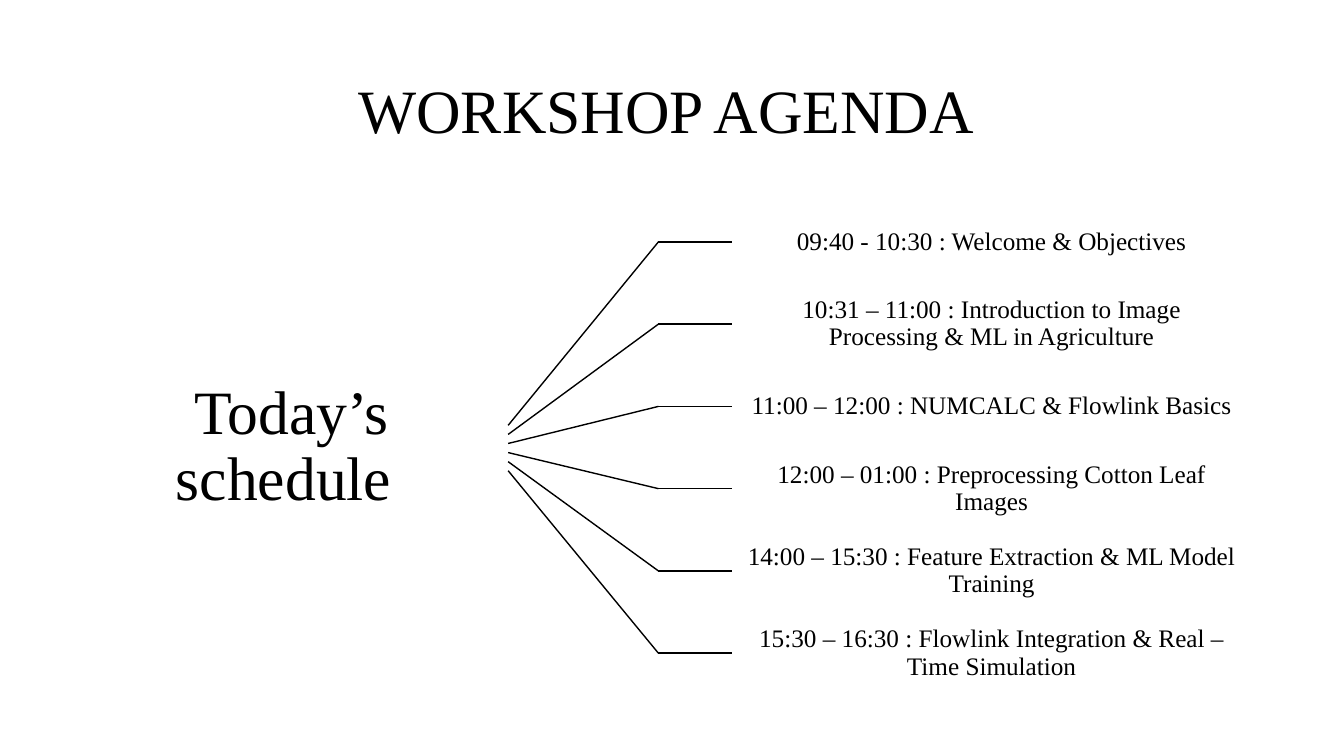
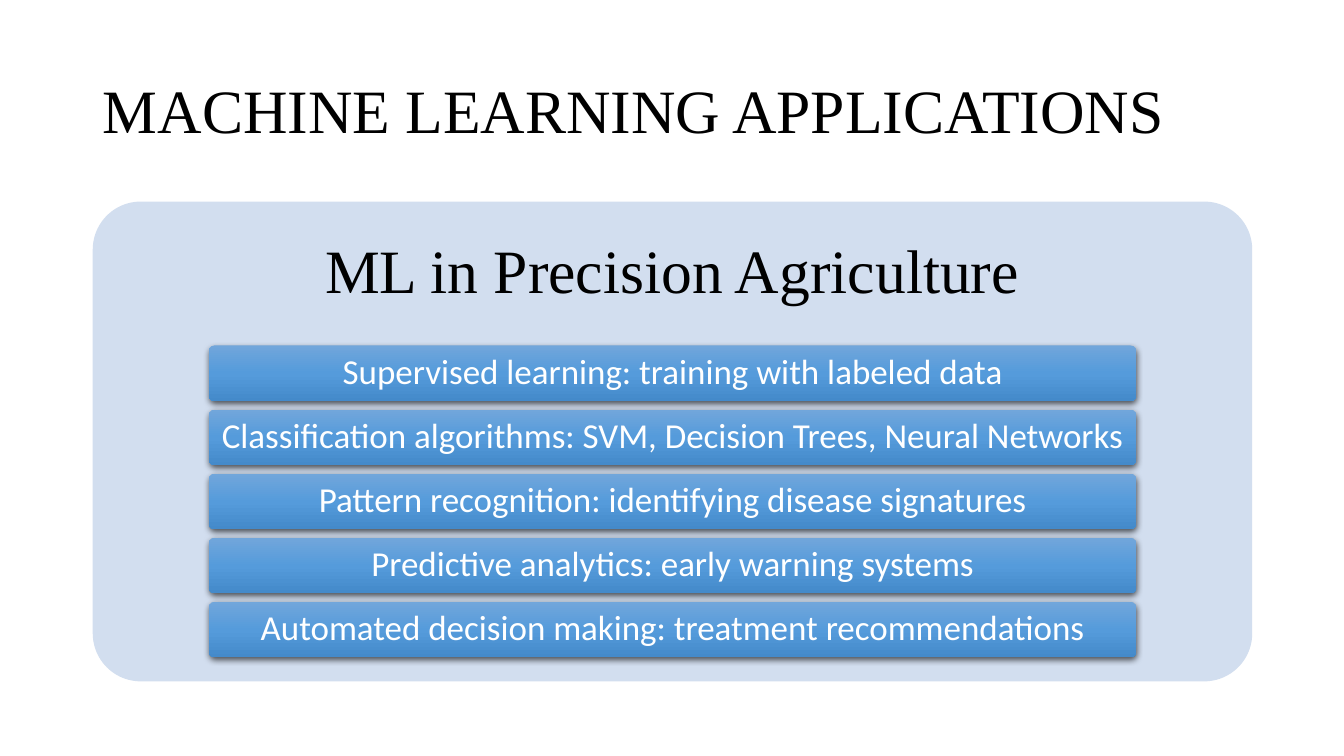
from dataclasses import dataclass

from lxml import etree
from pptx import Presentation
from pptx import util as u
from pptx.dml.color import RGBColor
from pptx.enum import shapes, text
from pptx.oxml import parse_xml
from pptx.oxml.ns import nsdecls, qn

BLACK = RGBColor(0x00, 0x00, 0x00)
WHITE = RGBColor(0xFF, 0xFF, 0xFF)
PANEL = RGBColor(0xD2, 0xDE, 0xEF)
BAR_TOP = RGBColor(0x71, 0xA6, 0xDB)
BAR_MID = RGBColor(0x55, 0x9B, 0xDB)
BAR_END = RGBColor(0x44, 0x8A, 0xCA)
BAR_STOPS = ((0, BAR_TOP), (50, BAR_MID), (100, BAR_END))

WIDTH, HEIGHT = 13.33, 7.5
TITLE_ONLY = 5


@dataclass(frozen=True)
class Box:
    left: float
    top: float
    width: float
    height: float

    def emu(self) -> tuple:
        return tuple(u.Inches(v) for v in (self.left, self.top, self.width, self.height))


@dataclass(frozen=True)
class Style:
    size: float
    font: str = "Times New Roman"
    color: RGBColor = BLACK
    align: text.PP_ALIGN = text.PP_ALIGN.CENTER
    inset_x: float = 0.0
    inset_y: float = 0.0


TITLE_BOX = Box(0.92, 0.4, 11.5, 1.45)
CENTRED_TITLE = Style(44, inset_x=0.1, inset_y=0.05)
LEFT_TITLE = Style(44, align=text.PP_ALIGN.LEFT, inset_x=0.1, inset_y=0.05)
HUB = Style(44)
SESSION = Style(18, inset_x=0.14, inset_y=0.14)
HEADING = Style(44, inset_x=0.18, inset_y=0.18)
BAR = Style(25, "Calibri", WHITE, inset_x=0.07, inset_y=0.05)

SESSIONS = (
    "09:40 - 10:30 : Welcome & Objectives",
    "10:31 – 11:00 : Introduction to Image Processing & ML in Agriculture",
    "11:00 – 12:00 : NUMCALC & Flowlink Basics",
    "12:00 – 01:00 : Preprocessing Cotton Leaf Images",
    "14:00 – 15:30 : Feature Extraction & ML Model Training",
    "15:30 – 16:30 : Flowlink Integration & Real – Time Simulation",
)
APPLICATIONS = (
    "Supervised learning: training with labeled data",
    "Classification algorithms: SVM, Decision Trees, Neural Networks",
    "Pattern recognition: identifying disease signatures",
    "Predictive analytics: early warning systems",
    "Automated decision making: treatment recommendations",
)


def write(sp, words: str, style: Style) -> None:
    tf = sp.text_frame
    tf.word_wrap = True
    tf.auto_size = text.MSO_AUTO_SIZE.NONE
    tf.vertical_anchor = text.MSO_ANCHOR.MIDDLE
    tf.margin_left = tf.margin_right = u.Inches(style.inset_x)
    tf.margin_top = tf.margin_bottom = u.Inches(style.inset_y)
    tf.text = words
    p = tf.paragraphs[0]
    p.alignment = style.align
    p.line_spacing = 0.9
    p.font.size = u.Pt(style.size)
    p.font.name = style.font
    p.font.color.rgb = style.color


def add_titled_slide(prs, words: str, style: Style):
    s = prs.slides.add_slide(prs.slide_layouts[TITLE_ONLY])
    sp = s.shapes.title
    sp.left, sp.top, sp.width, sp.height = TITLE_BOX.emu()
    write(sp, words, style)
    return s


def add_text(s, box: Box, words: str, style: Style) -> None:
    write(s.shapes.add_textbox(*box.emu()), words, style)


def add_line(s, x1: float, y1: float, x2: float, y2: float) -> None:
    ends = [u.Inches(v) for v in (x1, y1, x2, y2)]
    line = s.shapes.add_connector(shapes.MSO_CONNECTOR.STRAIGHT, *ends)
    line.line.color.rgb = BLACK
    line.line.width = u.Pt(1)
    etree.SubElement(line._element.spPr, qn("a:effectLst"))


def add_round_rect(s, box: Box, color: RGBColor):
    sp = s.shapes.add_shape(shapes.MSO_SHAPE.ROUNDED_RECTANGLE, *box.emu())
    sp.adjustments[0] = 0.1
    sp.fill.solid()
    sp.fill.fore_color.rgb = color
    sp.line.fill.background()
    sp.shadow.inherit = False
    return sp


def add_bar(s, box: Box, words: str) -> None:
    sp = add_round_rect(s, box, BAR_MID)
    spPr = sp._element.spPr
    stops = "".join(
        f'<a:gs pos="{pos * 1000}"><a:srgbClr val="{color}"/></a:gs>'
        for pos, color in BAR_STOPS
    )
    gradient = parse_xml(
        f'<a:gradFill {nsdecls("a")} rotWithShape="1"><a:gsLst>{stops}</a:gsLst>'
        '<a:lin ang="5400000" scaled="0"/></a:gradFill>'
    )
    spPr.replace(spPr.find(qn("a:solidFill")), gradient)
    spPr.find(qn("a:effectLst")).append(parse_xml(
        f'<a:outerShdw {nsdecls("a")} blurRad="{u.Pt(4.5)}" dist="{u.Pt(1.5)}" '
        'dir="5400000" algn="ctr" rotWithShape="0"><a:srgbClr val="000000">'
        '<a:alpha val="63000"/></a:srgbClr></a:outerShdw>'
    ))
    write(sp, words, BAR)


def add_agenda(prs) -> None:
    s = add_titled_slide(prs, "WORKSHOP AGENDA ", CENTRED_TITLE)
    add_text(s, Box(1.5, 3.29, 2.78, 2.3), "Today’s schedule ", HUB)
    hub_x, elbow_x, label_x = 5.04, 6.53, 7.26
    hub_y, first_y, last_y = 4.22, 2.4, 6.48
    hub_step = 0.09
    row = (last_y - first_y) / (len(SESSIONS) - 1)
    for i, session in enumerate(SESSIONS):
        y = first_y + i * row
        add_line(s, hub_x, hub_y + i * hub_step, elbow_x, y)
        add_line(s, elbow_x, y, label_x, y)
        add_text(s, Box(label_x, y - row / 2, 5.15, row), session, SESSION)


def add_applications(prs) -> None:
    s = add_titled_slide(prs, "MACHINE LEARNING APPLICATIONS", LEFT_TITLE)
    panel = Box(TITLE_BOX.left, 2, TITLE_BOX.width, 4.76)
    add_round_rect(s, panel, PANEL)
    heading = Box(panel.left, panel.top, panel.width, panel.height * 0.3)
    add_text(s, heading, "ML in Precision Agriculture", HEADING)
    count = len(APPLICATIONS)
    gap_share = 2 / 13
    height = panel.height * 0.65 / (count + (count - 1) * gap_share)
    left = panel.left + panel.width * 0.1
    top = heading.top + heading.height
    for i, application in enumerate(APPLICATIONS):
        y = top + i * height * (1 + gap_share)
        add_bar(s, Box(left, y, panel.width * 0.8, height), application)


def main() -> None:
    prs = Presentation()
    prs.slide_width, prs.slide_height = u.Inches(WIDTH), u.Inches(HEIGHT)
    add_agenda(prs)
    add_applications(prs)
    prs.save("out.pptx")


if __name__ == "__main__":
    main()
